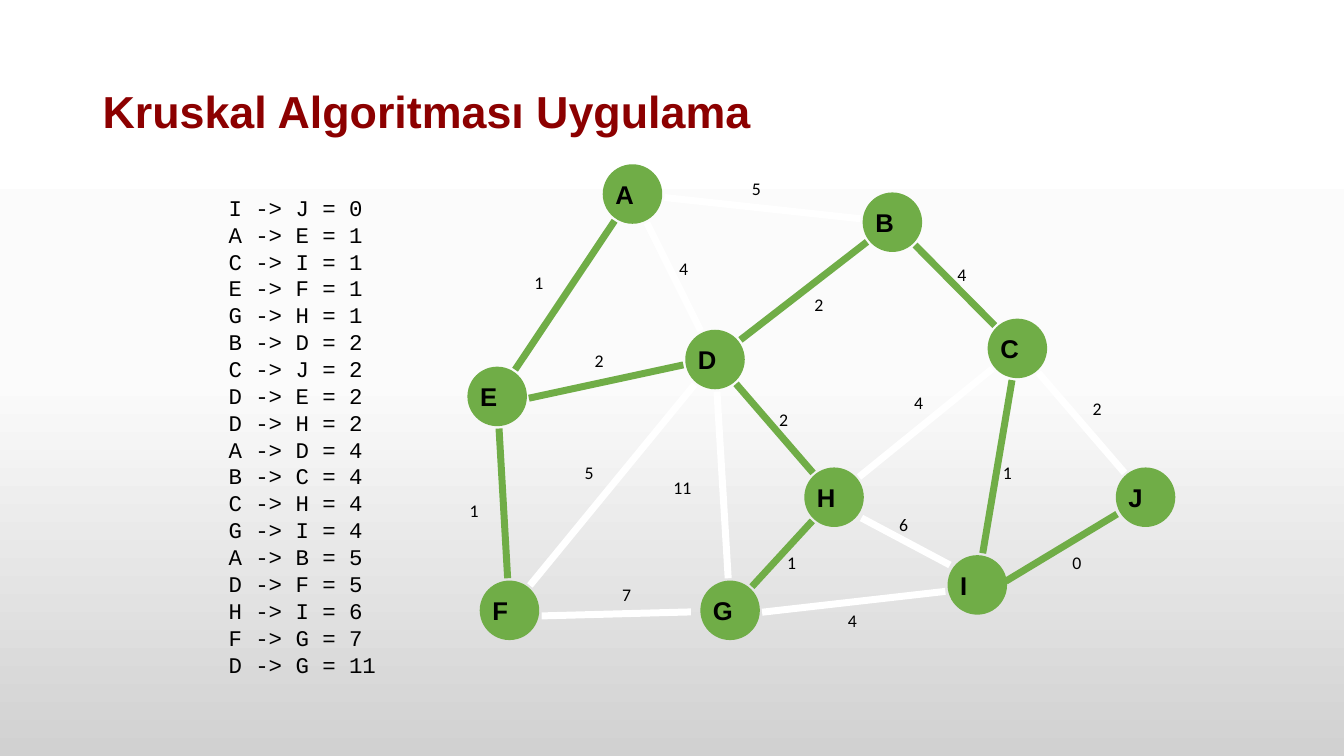
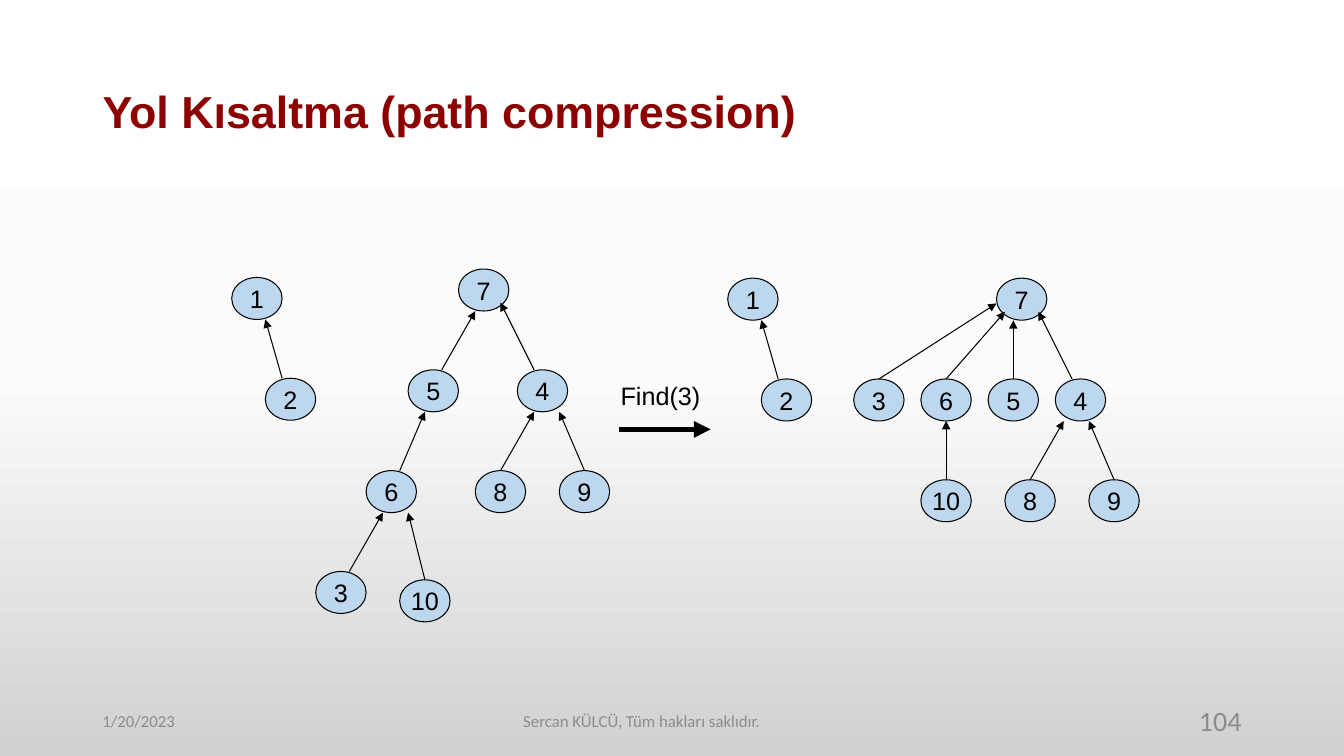
from dataclasses import dataclass
from math import hypot

from pptx import Presentation
from pptx import util as u
from pptx.dml.color import RGBColor
from pptx.enum import shapes, text
from pptx.oxml import parse_xml
from pptx.oxml.ns import nsdecls, qn

LEFT, CENTER, RIGHT = text.PP_ALIGN.LEFT, text.PP_ALIGN.CENTER, text.PP_ALIGN.RIGHT


@dataclass(frozen=True)
class Theme:
    """Colours, fonts and type sizes shared by the slides."""
    title: str = "8C0000"
    ink: str = "000000"
    muted: str = "8C8C8C"
    chosen: str = "70AD47"
    rejected: str = "FFFFFF"
    tree_node: str = "BDD7EE"
    backdrop: tuple = ((0, "FFFFFF"), (50, "FBFBFB"), (100, "D1D1D1"))
    sans: str = "Arial"
    small: str = "Calibri"
    mono: str = "Courier New"
    title_size: float = 32
    node_size: float = 18.3
    tree_size: float = 18
    weight_size: float = 12.7
    list_size: float = 16
    list_leading: float = 19.2
    footer_size: float = 12
    number_size: float = 20


THEME = Theme()
TITLE_BOX = (2.33, 1.02, 29.21, 3.68)
FOOTER_TOP, FOOTER_HEIGHT = 17.65, 1.02
TIGHT = 0.1

GRAPH_BOX = (11.7, 4.1)
NODE_DIAMETER, EDGE_REACH = 1.5, 0.81
GRAPH_NODES = {
    "A": (4.24, 0.79), "B": (10.79, 1.5), "C": (13.94, 4.68), "D": (6.32, 4.96),
    "E": (0.83, 5.89), "F": (1.14, 11.28), "G": (6.7, 11.28), "H": (9.32, 8.43),
    "I": (12.93, 10.64), "J": (17.17, 8.43),
}
WEIGHTS = {
    "AB": (5, 7.36, 0.66), "AD": (4, 5.53, 2.67), "AE": (1, 1.88, 3.02),
    "BC": (4, 12.54, 2.82), "BD": (2, 8.94, 3.56), "CH": (4, 11.45, 6.05),
    "CI": (1, 13.69, 7.8), "CJ": (2, 15.95, 6.2), "DE": (2, 3.4, 4.98),
    "DF": (5, 3.15, 7.8), "DG": (11, 5.5, 8.18), "DH": (2, 8.05, 6.48),
    "EF": (1, 0.25, 8.77), "FG": (7, 4.09, 10.87), "GH": (1, 8.25, 10.06),
    "GI": (4, 9.78, 11.53), "HI": (6, 11.07, 9.12), "IJ": (0, 15.44, 10.06),
}
EDGE_NUDGES = {
    "DE": (0, 0, 0, 0.18), "FG": (0, 0.14, -0.18, 0.04), "GI": (0, 0.13, 0, 0.08),
    "HI": (0, 0.1, 0, -0.08), "IJ": (0, 0.28, 0, 0.05),
}

STEP = 2.54 / 12
NODE_STEPS = (6, 5)
BEFORE = {
    "box": (5.84, 6.78),
    "nodes": {1: (0, 1), 2: (4, 13), 3: (10, 36), 4: (34, 12), 5: (21, 12),
              6: (16, 24), 7: (27, 0), 8: (29, 24), 9: (39, 24), 10: (20, 37)},
    "arrows": [(2, 1, 2, 4, 5), (5, 7, 4, 2, 5), (4, 7, 2, 5, 4), (6, 5, 4, 2, 5),
               (3, 6, 4, 2, 5), (8, 4, 3, 2, 5), (9, 4, 3, 5, 5), (10, 6, 3, 5, 5)],
}
AFTER = {
    "box": (18.34, 7.01),
    "nodes": {1: (0, 0), 2: (4, 12), 3: (15, 12), 4: (39, 12), 5: (31, 12),
              6: (23, 12), 7: (32, 0), 8: (33, 24), 9: (43, 24), 10: (23, 24)},
    "arrows": [(2, 1, 2, 4, 5), (5, 7, 3, 2, 5), (4, 7, 2, 5, 4), (6, 7, 3, 1, 4),
               (3, 7, 3, 0, 3), (8, 4, 3, 1, 5), (9, 4, 3, 4, 5), (10, 6, 3, 3, 5)],
}


def write(shape, content, *, font, size, color=THEME.ink, bold=False, align=LEFT,
          anchor=text.MSO_ANCHOR.MIDDLE, wrap=True, margin=None, spacing=None):
    """Fill a shape with one paragraph per line of content."""
    frame = shape.text_frame
    frame.text = content
    frame.word_wrap = wrap
    frame.vertical_anchor = anchor
    if margin is not None:
        frame.margin_left = frame.margin_right = u.Cm(margin)
        frame.margin_top = frame.margin_bottom = u.Cm(margin)
    for paragraph in frame.paragraphs:
        paragraph.alignment = align
        if spacing is not None:
            paragraph.line_spacing = spacing
        paragraph.font.name = font
        paragraph.font.size = u.Pt(size)
        paragraph.font.bold = bold
        paragraph.font.color.rgb = RGBColor.from_string(color)


def add_text(slide, box, content, **format):
    """Add a text box at box, given in centimetres."""
    shape = slide.shapes.add_textbox(*map(u.Cm, box))
    write(shape, content, **format)


def add_ellipse(slide, box, content, fill, outline=None, **format):
    """Add a filled ellipse that carries a label."""
    shape = slide.shapes.add_shape(shapes.MSO_SHAPE.OVAL, *map(u.Cm, box))
    shape.shadow.inherit = False
    shape.fill.solid()
    shape.fill.fore_color.rgb = RGBColor.from_string(fill)
    if outline:
        shape.line.color.rgb = RGBColor.from_string(outline)
        shape.line.width = u.Pt(0.75)
    else:
        shape.line.fill.background()
    write(shape, content, **format)
    return shape


def add_line(slide, start, end, color, width, arrow=False):
    """Add a straight line, with an arrowhead at its end on request."""
    connector = slide.shapes.add_connector(
        shapes.MSO_CONNECTOR.STRAIGHT, *map(u.Cm, (*start, *end)))
    connector.line.color.rgb = RGBColor.from_string(color)
    connector.line.width = u.Pt(width)
    properties = connector.element.find(qn("p:spPr"))
    if arrow:
        properties.find(qn("a:ln")).append(
            parse_xml(f'<a:tailEnd {nsdecls("a")} type="triangle"/>'))
    properties.append(parse_xml(f'<a:effectLst {nsdecls("a")}/>'))
    return connector


def style_master(presentation):
    """Give the master its gradient backdrop and title position."""
    master = presentation.slide_master
    stops = "".join(f'<a:gs pos="{place * 1000}"><a:srgbClr val="{color}"/></a:gs>'
                    for place, color in THEME.backdrop)
    common = master.element.find(qn("p:cSld"))
    for background in common.findall(qn("p:bg")):
        common.remove(background)
    common.insert(0, parse_xml(
        f'<p:bg {nsdecls("p", "a")}><p:bgPr><a:gradFill rotWithShape="1">'
        f'<a:gsLst>{stops}</a:gsLst><a:lin ang="5400000" scaled="0"/></a:gradFill>'
        '<a:effectLst/></p:bgPr></p:bg>'))
    title = master.placeholders[0]
    title.left, title.top, title.width, title.height = map(u.Cm, TITLE_BOX)


def add_titled_slide(presentation, title):
    """Add a slide with the shared title style."""
    slide = presentation.slides.add_slide(presentation.slide_layouts.get_by_name("Title Only"))
    shape = slide.shapes.title
    shape.left, shape.top, shape.width, shape.height = map(u.Cm, TITLE_BOX)
    write(shape, title, font=THEME.sans, size=THEME.title_size,
          color=THEME.title, bold=True, spacing=0.9)
    return slide


def add_footer(slide, date, notice, number):
    """Add the date, notice and slide number along the bottom."""
    parts = ((2.33, 7.62, date, LEFT, THEME.footer_size),
             (6.55, 19.25, notice, CENTER, THEME.footer_size),
             (23.92, 7.62, number, RIGHT, THEME.number_size))
    for left, width, content, align, size in parts:
        add_text(slide, (left, FOOTER_TOP, width, FOOTER_HEIGHT), content,
                 font=THEME.small, size=size, color=THEME.muted, align=align)


def sorted_edges():
    """Return the edges by weight, then by name."""
    return sorted(WEIGHTS, key=lambda edge: (WEIGHTS[edge][0], edge))


def spanning_tree():
    """Return the edges that Kruskal's algorithm accepts."""
    group = {node: node for node in GRAPH_NODES}
    tree = set()
    for edge in sorted_edges():
        first, second = (group[node] for node in edge)
        if first != second:
            tree.add(edge)
            group = {node: first if name == second else name
                     for node, name in group.items()}
    return tree


def add_edge_list(slide, box):
    """List the edges in the order they are examined."""
    lines = [f"{start} -> {end} = {WEIGHTS[start + end][0]}" for start, end in sorted_edges()]
    add_text(slide, box, "\n".join(lines), font=THEME.mono, size=THEME.list_size,
             wrap=False, margin=TIGHT, spacing=u.Pt(THEME.list_leading))


def add_graph(slide, box):
    """Draw the weighted graph with its spanning tree highlighted."""
    left, top = box
    tree = spanning_tree()
    for edge, (weight, x, y) in WEIGHTS.items():
        (x1, y1), (x2, y2) = (GRAPH_NODES[node] for node in edge)
        scale = EDGE_REACH / hypot(x2 - x1, y2 - y1)
        dx, dy = (x2 - x1) * scale, (y2 - y1) * scale
        nudge = EDGE_NUDGES.get(edge, (0, 0, 0, 0))
        add_line(slide, (left + x1 + dx + nudge[0], top + y1 + dy + nudge[1]),
                 (left + x2 - dx + nudge[2], top + y2 - dy + nudge[3]),
                 THEME.chosen if edge in tree else THEME.rejected, 5)
        width, height = (0.43 if weight < 10 else 0.66), 0.74
        add_text(slide, (left + x - width / 2, top + y - height / 2, width, height),
                 str(weight), font=THEME.small, size=THEME.weight_size,
                 align=CENTER, wrap=False, margin=TIGHT)
    for name, (x, y) in GRAPH_NODES.items():
        radius = NODE_DIAMETER / 2
        add_ellipse(slide, (left + x - radius, top + y - radius, NODE_DIAMETER, NODE_DIAMETER),
                    name, THEME.chosen, font=THEME.sans, size=THEME.node_size,
                    bold=True, margin=TIGHT)


def add_forest(slide, box, nodes, arrows):
    """Draw numbered nodes on a grid, with arrows from child to parent."""
    left, top = box
    width, height = NODE_STEPS

    def place(column, row):
        """Turn grid steps into centimetres."""
        return left + column * STEP, top + row * STEP

    ellipses = {
        number: add_ellipse(slide, (*place(*cell), width * STEP, height * STEP),
                            str(number), THEME.tree_node, THEME.ink, font=THEME.sans,
                            size=THEME.tree_size, align=CENTER, wrap=False)
        for number, cell in nodes.items()}
    for child, parent, child_x, parent_x, parent_y in arrows:
        start = place(nodes[child][0] + child_x, nodes[child][1])
        end = place(nodes[parent][0] + parent_x, nodes[parent][1] + parent_y)
        connector = add_line(slide, start, end, THEME.ink, 0.75, arrow=True)
        if child_x * 2 == width:
            connector.begin_connect(ellipses[child], 0)


def add_operation(slide, box, label):
    """Draw the labelled thick arrow between the two forests."""
    left, top, width = box
    add_text(slide, (left - 0.21, top, 2.54, 1.02), label, font=THEME.sans,
             size=THEME.tree_size, anchor=text.MSO_ANCHOR.TOP, wrap=False)
    add_line(slide, (left, top + 1.35), (left + width, top + 1.35), THEME.ink, 4, arrow=True)


def main():
    """Build and save the presentation."""
    presentation = Presentation()
    presentation.slide_width, presentation.slide_height = u.Cm(33.87), u.Cm(19.05)
    style_master(presentation)

    kruskal = add_titled_slide(presentation, "Kruskal Algoritması Uygulama")
    add_edge_list(kruskal, (5.66, 4.72, 3.94, 12.52))
    add_graph(kruskal, GRAPH_BOX)

    compression = add_titled_slide(presentation, "Yol Kısaltma (path compression)")
    add_forest(compression, **BEFORE)
    add_operation(compression, (15.6, 9.47, 2.31), "Find(3)")
    add_forest(compression, **AFTER)
    add_footer(compression, "1/20/2023", "Sercan KÜLCÜ, Tüm hakları saklıdır.", "104")

    presentation.save("out.pptx")


if __name__ == "__main__":
    main()
